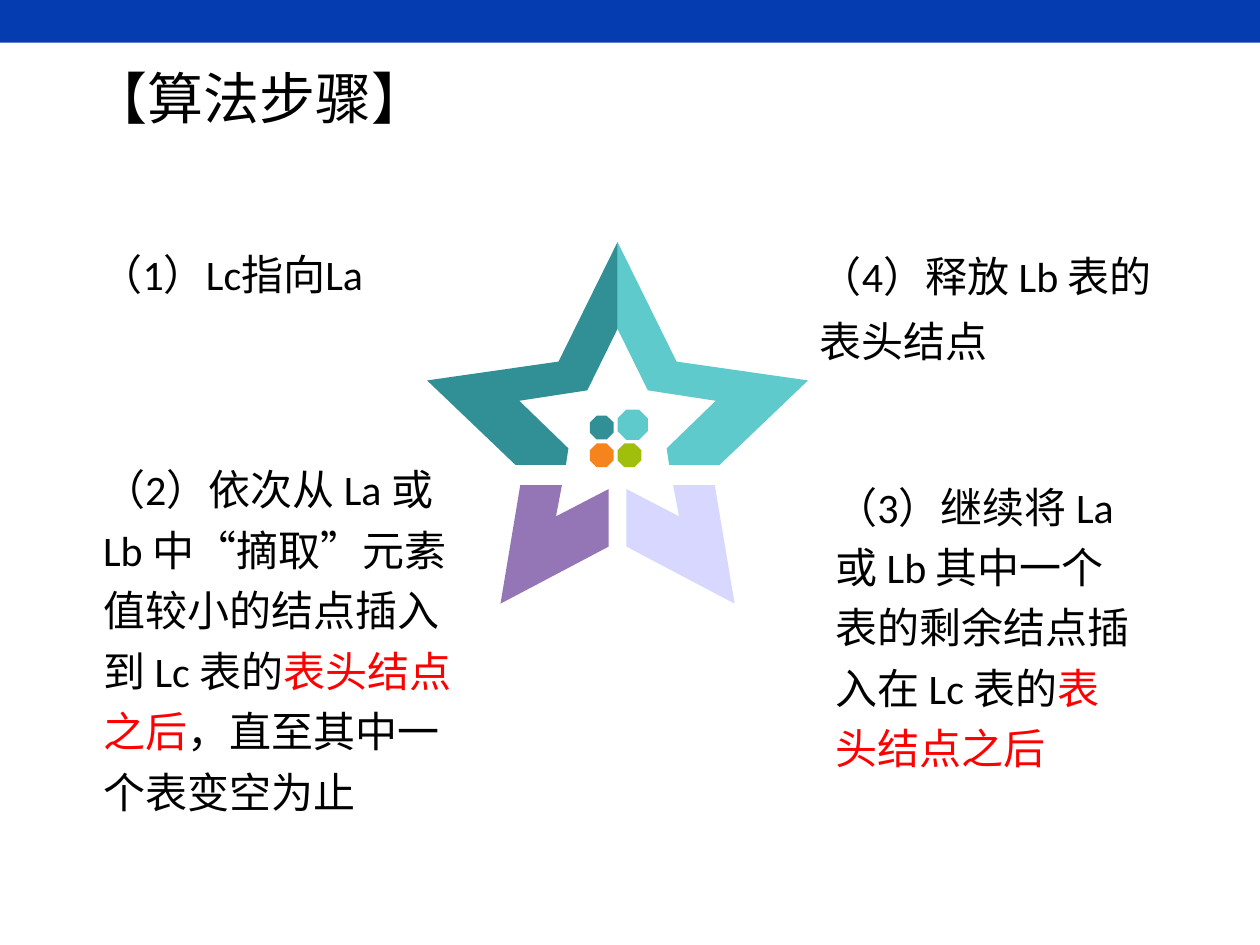
"""Build the slide of list-merging steps around a star."""
from dataclasses import dataclass
from lxml.etree import SubElement
from pptx import Presentation
from pptx.dml.color import RGBColor
from pptx.enum.shapes import MSO_SHAPE
from pptx.enum.text import MSO_ANCHOR
from pptx.oxml.ns import qn
from pptx.util import Cm, Pt


@dataclass(frozen=True)
class Theme:
    bar: str = "053CAF"
    ink: str = "000000"
    mark: str = "FF0000"
    teal: str = "319095"
    aqua: str = "5FCACB"
    plum: str = "9476B6"
    lilac: str = "D7D7FF"
    orange: str = "F5841C"
    lime: str = "A0BF0D"
    latin: str = "Calibri"
    han: str = "Noto Sans CJK SC"
    title: int = 32
    body: int = 24


@dataclass(frozen=True)
class Box:
    left: float
    top: float
    width: float
    height: float


@dataclass(frozen=True)
class Note:
    box: Box
    runs: tuple[tuple[str, str], ...]
    lead: float = 1.0
    size: int = Theme.body
    face: str = Theme.latin
    anchor: MSO_ANCHOR = MSO_ANCHOR.TOP


@dataclass(frozen=True)
class Arm:
    points: tuple[tuple[float, float], ...]
    side: int
    color: str


@dataclass(frozen=True)
class Dot:
    left: float
    top: float
    size: float
    color: str


THEME = Theme()
AXIS = 12.45
UPPER = ((1.19, 7.29), (0, 4.88), (0, 6.63), (0.61, 7.87), (1.98, 8.08),
         (0.99, 9.04), (1.04, 9.37), (2.06, 9.37), (3.84, 7.67))
LOWER = ((0.18, 9.86), (0.18, 11.02), (2.36, 12.17), (1.96, 9.78),
         (1.12, 9.78), (1.24, 10.41))
ARMS = (Arm(LOWER, 1, THEME.lilac), Arm(LOWER, -1, THEME.plum),
        Arm(UPPER, 1, THEME.aqua), Arm(UPPER, -1, THEME.teal))
DOTS = (Dot(11.89, 8.38, 0.48, THEME.teal), Dot(AXIS, 8.26, 0.61, THEME.aqua),
        Dot(11.89, 8.94, 0.48, THEME.orange), Dot(AXIS, 8.94, 0.48, THEME.lime))
NOTES = (
    Note(Box(1.78, 4.88, 6.99, 1.3), (("（1）Lc指向La", THEME.ink),)),
    Note(Box(1.83, 9.02, 7.54, 7.75),
         (("（2）依次从 La 或 Lb 中“摘取”元素值较小的结点插入到 Lc 表的", THEME.ink),
          ("表头结点之后", THEME.mark),
          ("，直至其中一个表变空为止", THEME.ink)), 1.2),
    Note(Box(16.59, 9.37, 6.6, 6.4),
         (("（3）继续将 La 或 Lb 其中一个表的剩余结点插入在 Lc 表的", THEME.ink),
          ("表头结点之后", THEME.mark)), 1.2),
    Note(Box(16.28, 4.62, 7.26, 2.79),
         (("（4）释放 Lb 表的表头结点", THEME.ink),), 1.3),
    Note(Box(1.6, 1.12, 10.69, 1.68), (("【算法步骤】", THEME.ink),),
         size=THEME.title, face=THEME.han, anchor=MSO_ANCHOR.MIDDLE),
)


def paint(shape, color: str) -> None:
    shape.shadow.inherit = False
    shape.fill.solid()
    shape.fill.fore_color.rgb = RGBColor.from_string(color)
    shape.line.fill.background()


def draw_shape(slide, kind: MSO_SHAPE, box: Box, color: str):
    shape = slide.shapes.add_shape(
        kind, Cm(box.left), Cm(box.top), Cm(box.width), Cm(box.height))
    paint(shape, color)
    return shape


def draw_arm(slide, arm: Arm) -> None:
    start, *rest = [(Cm(AXIS + arm.side * x), Cm(y)) for x, y in arm.points]
    pen = slide.shapes.build_freeform(*start)
    pen.add_line_segments(rest, close=True)
    paint(pen.convert_to_shape(), arm.color)


def draw_dot(slide, dot: Dot) -> None:
    box = Box(dot.left, dot.top, dot.size, dot.size)
    shape = draw_shape(slide, MSO_SHAPE.OCTAGON, box, dot.color)
    shape.adjustments[0] = 0.29


def draw_note(slide, note: Note) -> None:
    box = note.box
    frame = slide.shapes.add_textbox(
        Cm(box.left), Cm(box.top), Cm(box.width), Cm(box.height)).text_frame
    frame.word_wrap = True
    frame.vertical_anchor = note.anchor
    para = frame.paragraphs[0]
    para.line_spacing = note.lead
    for text, color in note.runs:
        run = para.add_run()
        run.text = text
        run.font.size = Pt(note.size)
        run.font.color.rgb = RGBColor.from_string(color)
        run.font.name = note.face
        SubElement(run.font._element, qn("a:ea"), typeface=THEME.han)


def main() -> None:
    deck = Presentation()
    deck.slide_width, deck.slide_height = Cm(25.4), Cm(19.05)
    slide = deck.slides.add_slide(deck.slide_layouts[6])
    draw_shape(slide, MSO_SHAPE.RECTANGLE, Box(0, 0, 25.4, 0.86), THEME.bar)
    for note in NOTES:
        draw_note(slide, note)
    for arm in ARMS:
        draw_arm(slide, arm)
    for dot in DOTS:
        draw_dot(slide, dot)
    deck.save("out.pptx")


if __name__ == "__main__":
    main()
